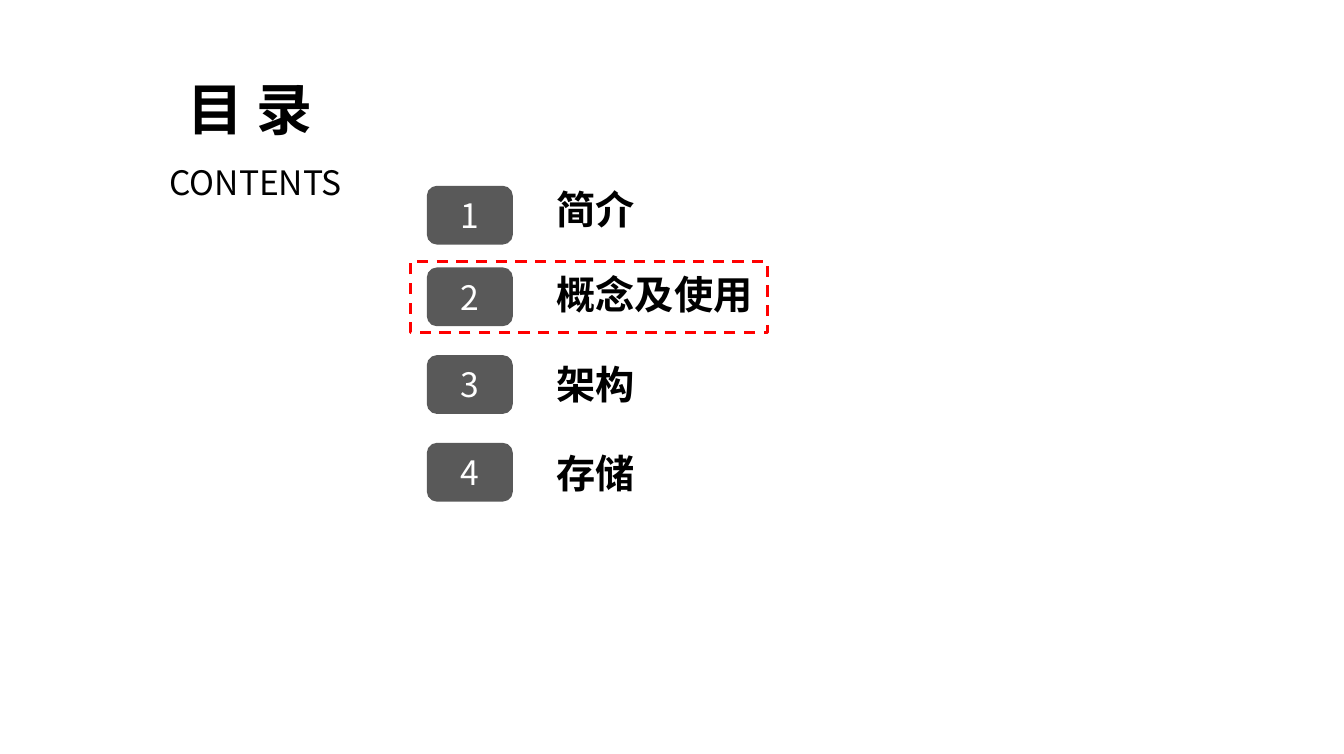
from dataclasses import dataclass

import pptx
import pptx.dml.color
import pptx.enum.dml
import pptx.enum.shapes
import pptx.enum.text
import pptx.oxml
import pptx.oxml.ns
import pptx.util

Inches = pptx.util.Inches
ALIGN = pptx.enum.text.PP_ALIGN
ANCHOR = pptx.enum.text.MSO_ANCHOR
SHAPE = pptx.enum.shapes.MSO_SHAPE


@dataclass(frozen=True)
class Theme:
    ink: str = "000000"
    badge: str = "595959"
    badge_text: str = "FFFFFF"
    highlight: str = "FF0000"
    font: str = "Noto Sans CJK SC"
    label_font: str = "Arial"
    title_size: int = 40
    label_size: int = 28
    small_size: int = 24


@dataclass(frozen=True)
class Entry:
    label: str
    badge_top: float
    label_top: float


THEME = Theme()
ENTRIES = [
    Entry("简介", 1.85, 1.77),
    Entry("概念及使用", 2.66, 2.61),
    Entry("架构", 3.53, 3.5),
    Entry("存储", 4.4, 4.39),
]


def rgb(value: str) -> pptx.dml.color.RGBColor:
    return pptx.dml.color.RGBColor.from_string(value)


def write(sp, text: str, size: int, color: str = THEME.ink, font: str = THEME.font,
          bold: bool = False, align=ALIGN.LEFT, anchor=ANCHOR.TOP,
          wrap: bool = True, inset: tuple = (0.13, 0.07)) -> None:
    """Fill a shape with one formatted paragraph."""
    tf = sp.text_frame
    tf.word_wrap = wrap
    tf.auto_size = pptx.enum.text.MSO_AUTO_SIZE.SHAPE_TO_FIT_TEXT
    tf.vertical_anchor = anchor
    tf.margin_left = tf.margin_right = Inches(inset[0])
    tf.margin_top = tf.margin_bottom = Inches(inset[1])
    p = tf.paragraphs[0]
    p.text = text
    p.alignment = align
    p.font.name = font
    p.font.size = pptx.util.Pt(size)
    p.font.bold = bold
    p.font.color.rgb = rgb(color)
    # Chinese characters take the East Asian typeface
    latin = p._p.find(".//" + pptx.oxml.ns.qn("a:latin"))
    ea = pptx.oxml.parse_xml(f'<a:ea {pptx.oxml.ns.nsdecls("a")} typeface="{THEME.font}"/>')
    latin.addnext(ea)


def add_text(s, left: float, top: float, width: float, height: float,
             text: str, size: int, **style) -> None:
    sp = s.shapes.add_textbox(Inches(left), Inches(top), Inches(width), Inches(height))
    write(sp, text, size, **style)


def add_box(s, kind, left: float, top: float, width: float, height: float,
            line: str, weight: float):
    sp = s.shapes.add_shape(kind, Inches(left), Inches(top), Inches(width), Inches(height))
    sp.shadow.inherit = False
    sp.line.color.rgb = rgb(line)
    sp.line.width = pptx.util.Pt(weight)
    return sp


def add_entry(s, number: int, entry: Entry) -> None:
    badge = add_box(s, SHAPE.ROUNDED_RECTANGLE, 4.24, entry.badge_top, 0.84, 0.57,
                    THEME.badge, 1)
    badge.fill.solid()
    badge.fill.fore_color.rgb = rgb(THEME.badge)
    write(badge, str(number), THEME.small_size, color=THEME.badge_text,
          align=ALIGN.CENTER, anchor=ANCHOR.MIDDLE, inset=(0.06, 0.06))
    add_text(s, 5.39, entry.label_top, 2.79, 0.61, entry.label, THEME.label_size,
             font=THEME.label_font, bold=True)


def main() -> None:
    prs = pptx.Presentation()
    prs.slide_width, prs.slide_height = Inches(13.33), Inches(7.48)
    s = prs.slides.add_slide(prs.slide_layouts.get_by_name("Title Only"))

    # Heading
    title = s.shapes.title
    title.left, title.top = Inches(1.73), Inches(0.67)
    title.width, title.height = Inches(1.56), Inches(0.81)
    write(title, "目 录", THEME.title_size, bold=True, wrap=False)
    add_text(s, 1.55, 1.54, 2.08, 0.54, "CONTENTS", THEME.small_size, wrap=False)

    # Numbered entries
    for number, entry in enumerate(ENTRIES, start=1):
        add_entry(s, number, entry)

    # Frame around the current entry
    frame = add_box(s, SHAPE.RECTANGLE, 4.07, 2.59, 3.54, 0.71, THEME.highlight, 2)
    frame.fill.background()
    frame.line.dash_style = pptx.enum.dml.MSO_LINE.DASH

    prs.save("out.pptx")


if __name__ == "__main__":
    main()
